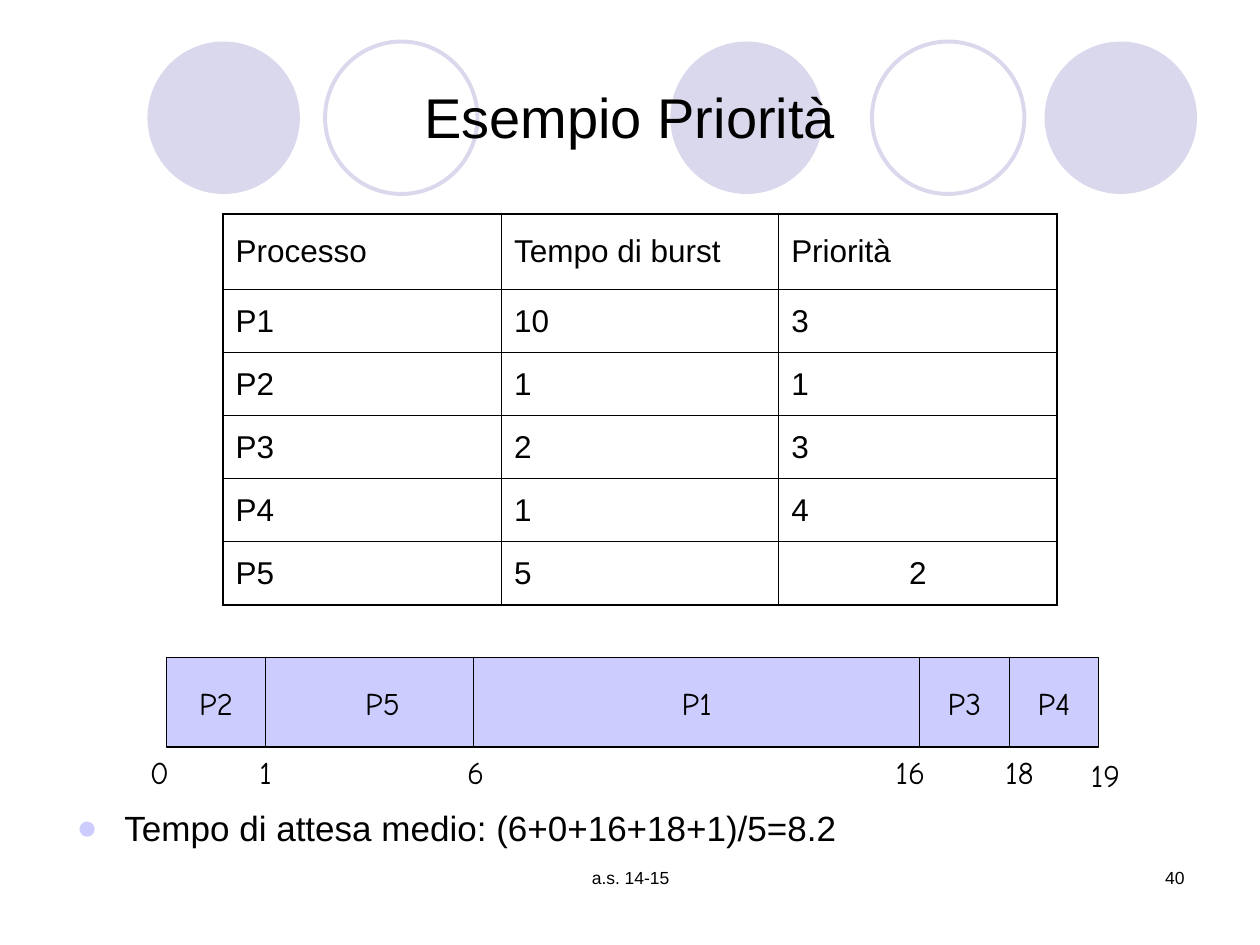
import pptx
import pptx.util
import pptx.dml.color
import pptx.enum.shapes
import pptx.enum.text
import lxml.etree

W, H = 10, 7.5
BLACK, LILAC, PALE = "000000", "CCCCFF", "D9D8EC"
ALIGN = pptx.enum.text.PP_ALIGN
MIDDLE = pptx.enum.text.MSO_ANCHOR.MIDDLE
SHAPE = pptx.enum.shapes.MSO_SHAPE
NS = "http://schemas.openxmlformats.org/drawingml/2006/main"


def color(hex_value):
    return pptx.dml.color.RGBColor.from_string(hex_value)


def inches(*values):
    return [pptx.util.Inches(v) for v in values]


def set_all(obj, formats):
    for name, value in formats.items():
        setattr(obj, name, value)


def add_xml(parent, tag, **attrs):
    el = lxml.etree.Element(f"{{{NS}}}{tag}", attrs)
    parent.append(el)
    return el


def write(tf, text, size, font="Arial", align=ALIGN.LEFT, before=0, **frame):
    set_all(tf, {"word_wrap": True, **frame})
    p = tf.paragraphs[0]
    set_all(p, {"alignment": align, "space_before": pptx.util.Pt(before)})
    r = p.add_run()
    r.text = text
    set_all(r.font, {"size": pptx.util.Pt(size), "name": font})
    r.font.color.rgb = color(BLACK)
    return p


def add_text(s, box, text, size, **formats):
    sp = s.shapes.add_textbox(*inches(*box))
    return write(sp.text_frame, text, size, **formats)


def add_shape(s, kind, box, fill=None, line=None, width=0.75):
    sp = s.shapes.add_shape(kind, *inches(*box))
    sp.shadow.inherit = False
    if fill:
        sp.fill.solid()
        sp.fill.fore_color.rgb = color(fill)
    else:
        sp.fill.background()
    if line:
        sp.line.color.rgb = color(line)
        sp.line.width = pptx.util.Pt(width)
    else:
        sp.line.fill.background()
    return sp


def add_circles(s):
    d = 1.21
    for x in (5.32, 8.29, 1.17):
        add_shape(s, SHAPE.OVAL, (x, 0.33, d, d), fill=PALE)
    for x in (6.92, 2.58):
        add_shape(s, SHAPE.OVAL, (x, 0.33, d, d), line=PALE, width=2.25)


def set_borders(cell, widths):
    tc_pr = cell._tc.get_or_add_tcPr()
    for side, width in widths.items():
        ln = add_xml(tc_pr, f"ln{side}", w=str(pptx.util.Pt(width)))
        add_xml(add_xml(ln, "solidFill"), "srgbClr", val=BLACK)


def add_process_table(s, rows):
    n_rows, n_cols = len(rows), len(rows[0])
    box = inches(1.77, 1.7, 6.62, 3.1)
    table = s.shapes.add_table(n_rows, n_cols, *box).table
    set_all(table, {"first_row": False, "horz_banding": False})
    for j, width in enumerate(inches(2.21, 2.2, 2.21)):
        table.columns[j].width = width
    thin, thick = 0.45, 1.08
    for i, row in enumerate(rows):
        table.rows[i].height = pptx.util.Inches(0.5 if i else 0.6)
        for j, text in enumerate(row):
            cell = table.cell(i, j)
            cell.vertical_anchor = MIDDLE
            last = (i, j) == (n_rows - 1, n_cols - 1)
            write(cell.text_frame, text, 18, before=4.5,
                  align=ALIGN.CENTER if last else ALIGN.LEFT)
            # Thick outer frame, thin inner grid
            outer = {"L": j == 0, "R": j == n_cols - 1,
                     "T": i == 0, "B": i == n_rows - 1}
            set_borders(cell, {k: thick if v else thin for k, v in outer.items()})
            cell.fill.background()


def add_gantt(s, names, edges, ticks):
    top, height = 5.22, 0.71
    for name, left, right in zip(names, edges, edges[1:]):
        sp = add_shape(s, SHAPE.RECTANGLE, (left, top, right - left, height),
                       fill=LILAC, line=BLACK)
        tf = sp.text_frame
        write(tf, name, 18, font="Comic Neue", align=ALIGN.CENTER,
              vertical_anchor=MIDDLE, word_wrap=False)
        if name == "P5":
            tf.margin_left = pptx.util.Inches(0.3)
    # Time scale under the bars, in boxes wide enough for two digits
    for label, x in ticks:
        y = top + height + (0.02 if label == "19" else 0)
        add_text(s, (x, y, 0.55, 0.4), label, 18, font="Comic Neue")


def add_bullet(p, indent):
    p_pr = p._p.get_or_add_pPr()
    p_pr.set("marL", str(pptx.util.Inches(indent)))
    p_pr.set("indent", str(pptx.util.Inches(-indent)))
    add_xml(add_xml(p_pr, "buClr"), "srgbClr", val=LILAC)
    add_xml(p_pr, "buFont", typeface="Arial")
    add_xml(p_pr, "buChar", char="●")


def main():
    prs = pptx.Presentation()
    prs.slide_width, prs.slide_height = inches(W, H)
    s = prs.slides.add_slide(prs.slide_layouts[6])

    # Header
    add_circles(s)
    add_text(s, (0.05 * W, 0.04 * H, 0.9 * W, 1.25), "Esempio Priorità", 32,
             align=ALIGN.CENTER, vertical_anchor=MIDDLE)

    # Processes and their schedule
    add_process_table(s, [("Processo", "Tempo di burst", "Priorità"),
                          ("P1", "10", "3"), ("P2", "1", "1"),
                          ("P3", "2", "3"), ("P4", "1", "4"),
                          ("P5", "5", "2")])
    add_gantt(s, ("P2", "P5", "P1", "P3", "P4"),
              (1.32, 2.11, 3.76, 7.3, 8.01, 8.72),
              (("0", 1.09), ("1", 1.96), ("6", 3.61),
               ("16", 7.01), ("18", 7.88), ("19", 8.56)))

    # Result
    p = add_text(s, (0.51, 6.35, 0.9 * W, 0.59),
                 "Tempo di attesa medio: (6+0+16+18+1)/5=8.2", 20, before=5)
    add_bullet(p, 0.38)

    # Footer
    add_text(s, (3.42, 6.83, 3.17, 0.5), "a.s. 14-15", 10, align=ALIGN.CENTER)
    add_text(s, (7.17, 6.83, 2.33, 0.5), "40", 10, align=ALIGN.RIGHT)
    prs.save("out.pptx")


if __name__ == "__main__":
    main()
